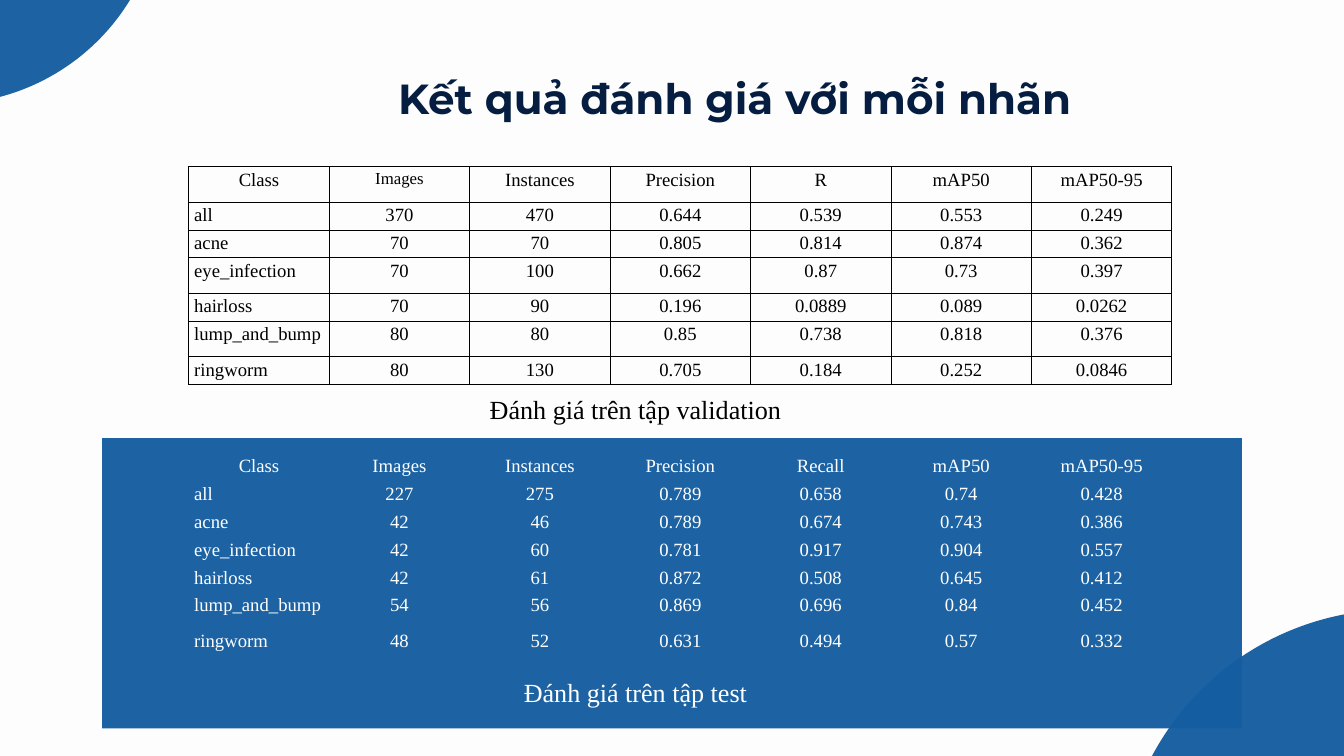
from dataclasses import dataclass

from lxml.etree import SubElement
from pptx import Presentation
from pptx.dml.color import RGBColor
from pptx.enum.shapes import MSO_SHAPE
from pptx.enum.text import MSO_ANCHOR, MSO_AUTO_SIZE, PP_ALIGN
from pptx.oxml.ns import qn
from pptx.util import Inches, Pt


@dataclass(frozen=True)
class Theme:
    """Colours, fonts and type sizes of the slide."""

    paper: RGBColor = RGBColor.from_string("FDFDFD")
    blue: RGBColor = RGBColor.from_string("145DA0")
    navy: RGBColor = RGBColor.from_string("051D40")
    black: RGBColor = RGBColor.from_string("000000")
    white: RGBColor = RGBColor.from_string("FFFFFF")
    opacity: int = 96
    heading_font: str = "Montserrat"
    text_font: str = "Times New Roman"
    title_size: int = 45
    title_leading: int = 63
    caption_size: int = 28
    cell_size: int = 20
    small_cell_size: int = 18


def apply_format(target, values):
    """Set each named attribute of the target."""
    for name, value in values.items():
        setattr(target, name, value)


class SlideBuilder:
    """Draws styled elements on the current slide."""

    def __init__(self, slide, theme):
        """Keep the slide and the theme, and paint the background."""
        self.slide = slide
        self.theme = theme
        fill = slide.background.fill
        fill.solid()
        fill.fore_color.rgb = theme.paper

    def set_text(self, paragraph, text, font, size, color, bold=False, alignment=PP_ALIGN.CENTER):
        """Fill a paragraph with formatted text."""
        paragraph.text = text
        paragraph.alignment = alignment
        apply_format(paragraph.font, {"name": font, "size": Pt(size), "bold": bold})
        paragraph.font.color.rgb = color

    def title(self, text, left, top, width, height):
        """Place and format the title placeholder."""
        shape = self.slide.shapes.title
        apply_format(shape, {
            "left": Inches(left), "top": Inches(top),
            "width": Inches(width), "height": Inches(height),
        })
        apply_format(shape.text_frame, {
            "margin_left": 0, "margin_top": 0, "margin_right": 0, "margin_bottom": 0,
            "word_wrap": True, "vertical_anchor": MSO_ANCHOR.TOP,
            "auto_size": MSO_AUTO_SIZE.SHAPE_TO_FIT_TEXT,
        })
        paragraph = shape.text_frame.paragraphs[0]
        theme = self.theme
        self.set_text(paragraph, text, theme.heading_font, theme.title_size, theme.navy, bold=True)
        apply_format(paragraph, {"line_spacing": Pt(theme.title_leading), "space_before": Pt(0)})

    def blue_shape(self, kind, left, top, width, height):
        """Add a slightly transparent blue shape."""
        shape = self.slide.shapes.add_shape(
            kind, Inches(left), Inches(top), Inches(width), Inches(height))
        shape.shadow.inherit = False
        shape.line.fill.background()
        shape.fill.solid()
        shape.fill.fore_color.rgb = self.theme.blue
        color = shape.element.spPr.find(f"{qn('a:solidFill')}/{qn('a:srgbClr')}")
        SubElement(color, qn("a:alpha"), val=str(self.theme.opacity * 1000))

    def caption(self, text, top, color):
        """Add a centred caption for a table."""
        box = self.slide.shapes.add_textbox(Inches(7.08), Inches(top), Inches(4.75), Inches(0.57))
        apply_format(box.text_frame, {
            "word_wrap": True, "auto_size": MSO_AUTO_SIZE.SHAPE_TO_FIT_TEXT,
        })
        self.set_text(box.text_frame.paragraphs[0], text,
                      self.theme.text_font, self.theme.caption_size, color)

    def cell_borders(self, cell, color):
        """Draw all four cell borders, or hide them when there is no colour."""
        properties = cell._tc.get_or_add_tcPr()
        for side in ("lnL", "lnR", "lnT", "lnB"):
            line = SubElement(properties, qn(f"a:{side}"), w=str(Pt(1)))
            if color is None:
                SubElement(line, qn("a:noFill"))
            else:
                fill = SubElement(line, qn("a:solidFill"))
                SubElement(fill, qn("a:srgbClr"), val=str(color))

    def table(self, rows, top, row_heights, color, border=None, small_cells=()):
        """Add a results table with left-aligned class names."""
        theme = self.theme
        frame = self.slide.shapes.add_table(
            len(rows), len(rows[0]), Inches(2.81), Inches(top),
            Inches(14.63), Inches(sum(row_heights)))
        table = frame.table
        apply_format(table, {"first_row": False, "horz_banding": False})
        for row, height in zip(table.rows, row_heights):
            row.height = Inches(height)
        for row_index, values in enumerate(rows):
            for column_index, value in enumerate(values):
                cell = table.cell(row_index, column_index)
                apply_format(cell, {
                    "margin_left": Inches(0.08), "margin_right": Inches(0.08),
                    "margin_top": Inches(0.04), "margin_bottom": Inches(0.04),
                })
                self.cell_borders(cell, border)
                cell.fill.background()
                is_class_name = row_index > 0 and column_index == 0
                is_small = (row_index, column_index) in small_cells
                self.set_text(
                    cell.text_frame.paragraphs[0], value, theme.text_font,
                    theme.small_cell_size if is_small else theme.cell_size, color,
                    alignment=PP_ALIGN.LEFT if is_class_name else PP_ALIGN.CENTER)


VALIDATION_ROWS = [
    ("Class", "Images", "Instances", "Precision", "R", "mAP50", "mAP50-95"),
    ("all", "370", "470", "0.644", "0.539", "0.553", "0.249"),
    ("acne", "70", "70", "0.805", "0.814", "0.874", "0.362"),
    ("eye_infection", "70", "100", "0.662", "0.87", "0.73", "0.397"),
    ("hairloss", "70", "90", "0.196", "0.0889", "0.089", "0.0262"),
    ("lump_and_bump", "80", "80", "0.85", "0.738", "0.818", "0.376"),
    ("ringworm", "80", "130", "0.705", "0.184", "0.252", "0.0846"),
]

TEST_ROWS = [
    ("Class", "Images", "Instances", "Precision", "Recall", "mAP50", "mAP50-95"),
    ("all", "227", "275", "0.789", "0.658", "0.74", "0.428"),
    ("acne", "42", "46", "0.789", "0.674", "0.743", "0.386"),
    ("eye_infection", "42", "60", "0.781", "0.917", "0.904", "0.557"),
    ("hairloss", "42", "61", "0.872", "0.508", "0.645", "0.412"),
    ("lump_and_bump", "54", "56", "0.869", "0.696", "0.84", "0.452"),
    ("ringworm", "48", "52", "0.631", "0.494", "0.57", "0.332"),
]

NORMAL_ROW = 0.41
TALL_ROW = 0.53


def main():
    """Build and save the evaluation slide."""
    presentation = Presentation()
    apply_format(presentation, {"slide_width": Inches(20), "slide_height": Inches(11.25)})
    theme = Theme()
    builder = SlideBuilder(presentation.slides.add_slide(presentation.slide_layouts[5]), theme)

    builder.blue_shape(MSO_SHAPE.RECTANGLE, 1.52, 6.52, 16.96, 4.32)
    builder.blue_shape(MSO_SHAPE.OVAL, 16.66, 9.07, 8.23, 8.23)
    builder.blue_shape(MSO_SHAPE.OVAL, -4.07, -4.93, 6.48, 6.48)

    builder.title("Kết quả đánh giá với mỗi nhãn", 5.69, 0.95, 10.48, 0.82)

    validation_heights = [TALL_ROW if index in (0, 3, 5) else NORMAL_ROW for index in range(7)]
    builder.table(VALIDATION_ROWS, 2.48, validation_heights, theme.black,
                  border=theme.black, small_cells={(0, 1)})
    builder.caption("Đánh giá trên tập validation", 5.8, theme.black)

    test_heights = [TALL_ROW if index == 5 else NORMAL_ROW for index in range(7)]
    builder.table(TEST_ROWS, 6.75, test_heights, theme.white)
    builder.caption("Đánh giá trên tập test", 10.02, theme.white)

    presentation.save("out.pptx")


if __name__ == "__main__":
    main()
